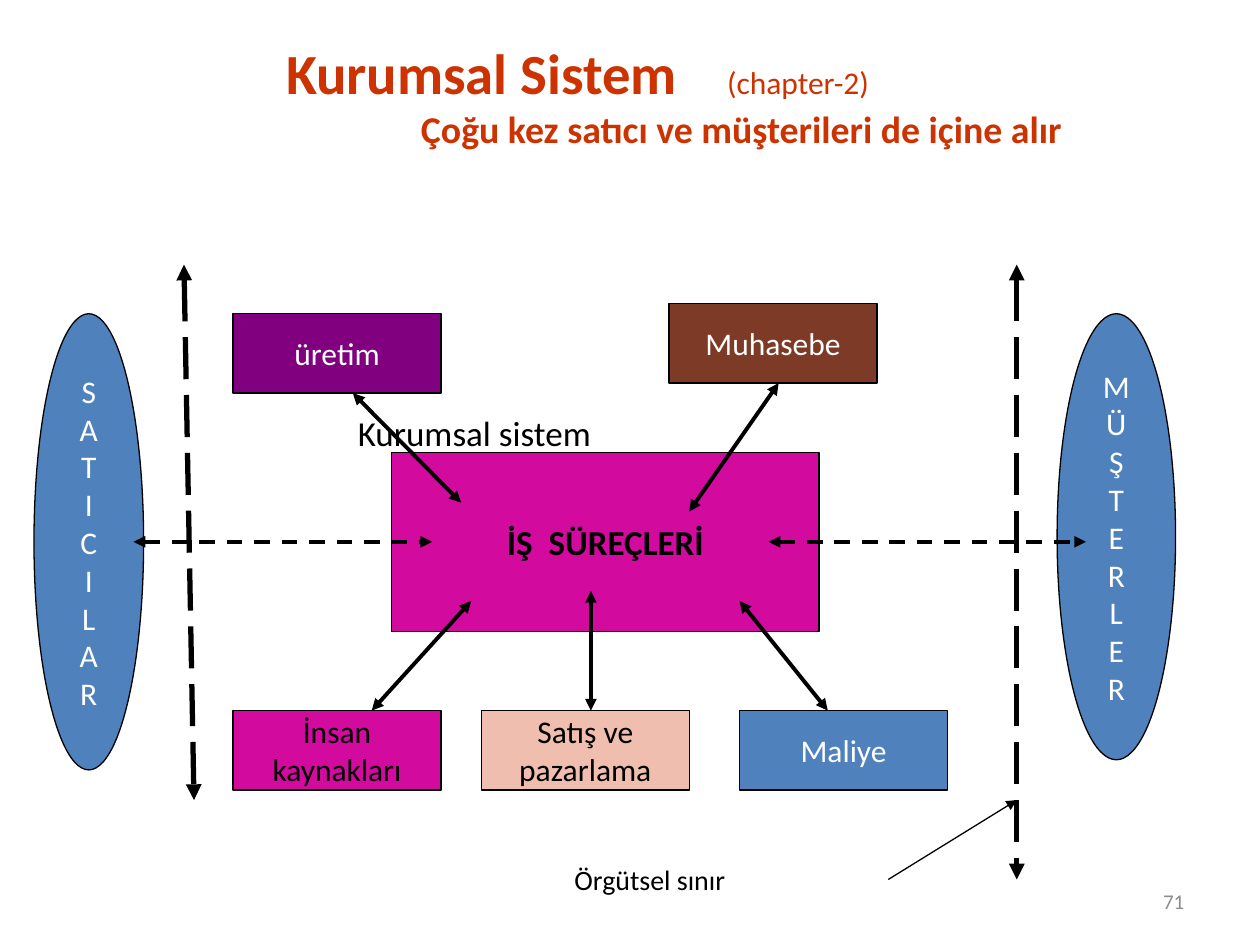
from lxml import etree
from pptx import Presentation
from pptx.dml.color import RGBColor
from pptx.enum.dml import MSO_LINE
from pptx.enum.shapes import MSO_CONNECTOR, MSO_SHAPE
from pptx.enum.text import MSO_ANCHOR as Anchor, PP_ALIGN as Align
from pptx.oxml.ns import qn
from pptx.util import Inches, Pt

BLACK = RGBColor(0x00, 0x00, 0x00)
WHITE = RGBColor(0xFF, 0xFF, 0xFF)
GRAY = RGBColor(0x8C, 0x8C, 0x8C)
RUST = RGBColor(0xCC, 0x33, 0x00)
MAGENTA = RGBColor(0xD2, 0x0A, 0x9E)
PEACH = RGBColor(0xEF, 0xBE, 0xAF)
BLUE = RGBColor(0x4F, 0x81, 0xBD)
BROWN = RGBColor(0x7D, 0x3B, 0x27)
PURPLE = RGBColor(0x80, 0x00, 0x80)


def add_span(para, text, size=18, color=BLACK, bold=False):
    span = para.add_run()
    span.text = text
    span.font.name = "Calibri"
    span.font.size = Pt(size)
    span.font.bold = bold
    span.font.color.rgb = color


def write(frame, text, align=Align.CENTER, anchor=Anchor.MIDDLE, wrap=False, **style):
    """Fill a text frame, one paragraph for each line of text."""
    frame.word_wrap = wrap
    frame.vertical_anchor = anchor
    frame.margin_left = frame.margin_right = 0
    frame.margin_top = frame.margin_bottom = 0
    for index, line in enumerate(text.split("\n")):
        para = frame.add_paragraph() if index else frame.paragraphs[0]
        para.alignment = align
        add_span(para, line, **style)


def add_label(page, box, text, **style):
    label = page.shapes.add_textbox(*map(Inches, box))
    write(label.text_frame, text, wrap=True, **style)


def add_node(page, box, text, fill, kind=MSO_SHAPE.RECTANGLE, **style):
    node = page.shapes.add_shape(kind, *map(Inches, box))
    node.shadow.inherit = False
    node.fill.solid()
    node.fill.fore_color.rgb = fill
    node.line.color.rgb = BLACK
    node.line.width = Pt(0.75)
    write(node.text_frame, text, **style)


def add_arrow(page, start, end, width=2.25, dash=None, ends=("headEnd", "tailEnd")):
    arrow = page.shapes.add_connector(
        MSO_CONNECTOR.STRAIGHT, *map(Inches, (*start, *end)))
    arrow.line.color.rgb = BLACK
    arrow.line.width = Pt(width)
    if dash:
        arrow.line.dash_style = dash
    properties = arrow._element.spPr
    outline = properties.find(qn("a:ln"))
    for end_name in ends:
        etree.SubElement(outline, qn(f"a:{end_name}"), type="triangle")
    etree.SubElement(properties, qn("a:effectLst"))


def place_title(page, box):
    title = page.shapes.title
    title.left, title.top, title.width, title.height = map(Inches, box)
    frame = title.text_frame
    frame.word_wrap = True
    frame.vertical_anchor = Anchor.TOP
    frame.margin_left = frame.margin_right = 0
    frame.margin_top = frame.margin_bottom = 0

    # Heading, with the chapter reference on a tab stop
    heading = frame.paragraphs[0]
    heading.alignment = Align.LEFT
    settings = heading._p.get_or_add_pPr()
    settings.set("marL", str(Inches(1.77)))
    settings.set("indent", "0")
    tabs = etree.SubElement(settings, qn("a:tabLst"))
    etree.SubElement(tabs, qn("a:tab"), pos=str(Inches(6)), algn="l")
    add_span(heading, "Kurumsal Sistem", size=32.4, color=RUST, bold=True)
    add_span(heading, "\t(chapter-2)", color=RUST)

    subtitle = frame.add_paragraph()
    subtitle.alignment = Align.CENTER
    add_span(subtitle, "Çoğu kez satıcı ve müşterileri de içine alır",
             size=21.6, color=RUST, bold=True)


def place_processes(page, box):
    """Central processes and the departments around them."""
    left, top, width, height = box
    add_label(page, (left - 0.27, top - 0.36, 2.2, 0.4), "Kurumsal sistem",
              size=20, align=Align.LEFT)
    add_node(page, box, "İŞ  SÜREÇLERİ", MAGENTA, size=20, bold=True)

    lower = top + height + 0.63
    departments = [
        (3.82, lower, "Satış ve\npazarlama", PEACH, BLACK),
        (1.85, lower, "İnsan\nkaynakları", MAGENTA, BLACK),
        (5.87, lower, "Maliye", BLUE, WHITE),
        (5.31, 2.41, "Muhasebe", BROWN, WHITE),
        (1.85, 2.49, "üretim", PURPLE, WHITE),
    ]
    for x, y, name, fill, color in departments:
        add_node(page, (x, y, 1.65, 0.63), name, fill, color=color)

    links = [
        ((2.8, 3.12), (3.66, 3.99)),
        ((6.18, 3.04), (5.47, 4.06)),
        ((3.74, 4.77), (2.95, lower)),
        ((4.69, 4.69), (4.69, lower)),
        ((5.87, 4.77), (6.57, lower)),
    ]
    for start, end in links:
        add_arrow(page, start, end)


def place_partners(page):
    """Suppliers and customers on either side."""
    for box, name in [((0.27, 2.49, 0.87, 3.62), "SATICILAR"),
                      ((8.39, 2.49, 0.94, 3.54), "MÜŞTERLER")]:
        add_node(page, box, "\n".join(name), BLUE, MSO_SHAPE.OVAL, color=WHITE)
    for start, end in [(6.1, 8.62), (1.06, 3.43)]:
        add_arrow(page, (start, 4.3), (end, 4.3), dash=MSO_LINE.DASH)


def place_boundary(page):
    """Organizational boundary lines and their caption."""
    for start, end in [((1.46, 2.1), (1.54, 6.35)), ((8.07, 2.1), (8.07, 6.98))]:
        add_arrow(page, start, end, width=3, dash=MSO_LINE.LONG_DASH)
    add_arrow(page, (7.05, 6.98), (8.07, 6.35), width=0.75, ends=("tailEnd",))
    add_label(page, (4.56, 6.8, 1.6, 0.36), "Örgütsel sınır",
              size=16, align=Align.LEFT)


def main():
    deck = Presentation()
    deck.slide_width, deck.slide_height = Inches(10), Inches(7.5)
    page = deck.slides.add_slide(deck.slide_layouts[5])
    place_title(page, (0.5, 0.3, 9, 1.25))
    place_processes(page, (3.11, 3.59, 3.39, 1.42))
    place_partners(page)
    place_boundary(page)
    # Page number
    add_label(page, (7.17, 6.95, 2.23, 0.4), "71",
              size=12, color=GRAY, align=Align.RIGHT)
    deck.save("out.pptx")


if __name__ == "__main__":
    main()
